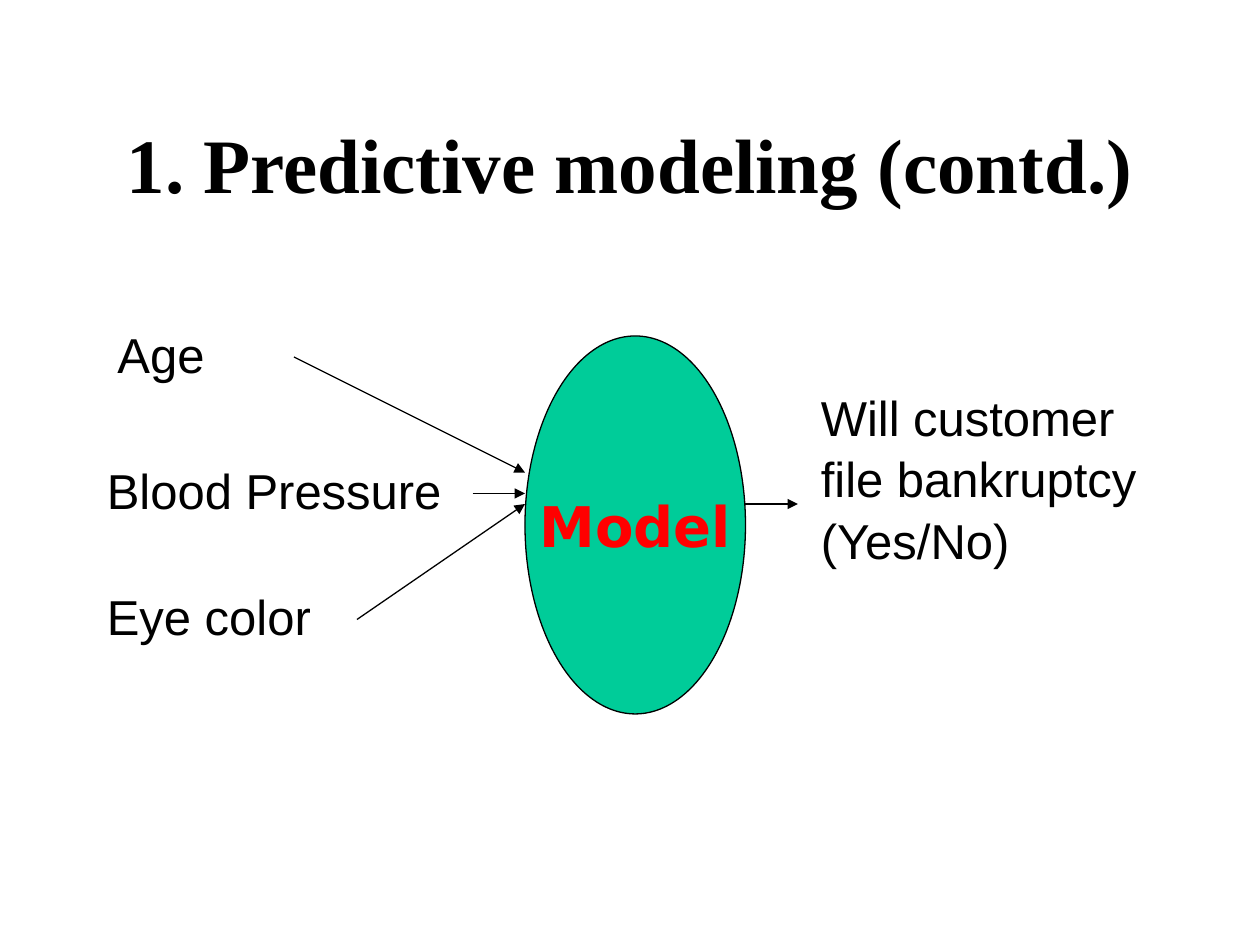
from typing import NamedTuple

from lxml import etree
from pptx import Presentation, util as u
from pptx.dml.color import RGBColor
from pptx.enum import shapes, text
from pptx.oxml import ns

PX = 9525
BLACK, RED, GREEN = "000000", "FF0000", "00CC99"


class Area(NamedTuple):
    left: int
    top: int
    width: int
    height: int


class Style(NamedTuple):
    font: str = "Arial"
    size: int = 28
    color: str = BLACK
    bold: bool = False
    centered: bool = False
    spacing: float = 1.05
    wrap: bool = True


class Label(NamedTuple):
    wording: str
    area: Area
    style: Style = Style()


class Arrow(NamedTuple):
    start: tuple[int, int]
    end: tuple[int, int]


TITLE = Label("1. Predictive modeling (contd.)", Area(72, 64, 816, 120),
              Style("Times New Roman", 44, bold=True, centered=True, spacing=1.0))
MODEL = Label("Model", Area(400, 256, 168, 288),
              Style("DejaVu Sans", 32, RED, True, True, 1.0, False))
LABELS = [
    TITLE,
    Label("Age", Area(80, 240, 128, 55)),
    Label("Blood Pressure", Area(72, 344, 280, 55)),
    Label("Eye color", Area(72, 440, 192, 55)),
    Label("Will customer file bankruptcy (Yes/No)", Area(616, 288, 296, 144)),
]
ARROWS = [
    Arrow((224, 272), (400, 360)),
    Arrow((360, 376), (400, 376)),
    Arrow((272, 472), (400, 384)),
    Arrow((568, 384), (608, 384)),
]


def rgb(color: str) -> RGBColor:
    """Turn a hex string into a colour."""
    return RGBColor.from_string(color)


def scaled(lengths) -> list[int]:
    """Turn px lengths into EMU."""
    return [length * PX for length in lengths]


def write(box, label: Label) -> None:
    """Put a label's wording in a shape and format it."""
    style, frame = label.style, box.text_frame
    frame.text = label.wording
    frame.word_wrap = style.wrap
    frame.vertical_anchor = (text.MSO_ANCHOR.MIDDLE if style.centered
                             else text.MSO_ANCHOR.TOP)
    para = frame.paragraphs[0]
    para.alignment = text.PP_ALIGN.CENTER if style.centered else text.PP_ALIGN.LEFT
    para.line_spacing = style.spacing
    span = para.runs[0]
    span.font.name, span.font.size = style.font, u.Pt(style.size)
    span.font.bold, span.font.color.rgb = style.bold, rgb(style.color)


def outline(shape) -> None:
    """Give a shape or connector the thin black line."""
    shape.line.color.rgb = rgb(BLACK)
    shape.line.width = u.Pt(0.75)


def draw_label(page, label: Label) -> None:
    """Draw a text box."""
    write(page.shapes.add_textbox(*scaled(label.area)), label)


def draw_model(page, label: Label) -> None:
    """Draw the model ellipse."""
    ellipse = page.shapes.add_shape(shapes.MSO_SHAPE.OVAL, *scaled(label.area))
    ellipse.shadow.inherit = False
    ellipse.fill.solid()
    ellipse.fill.fore_color.rgb = rgb(GREEN)
    outline(ellipse)
    write(ellipse, label)


def draw_arrow(page, arrow: Arrow) -> None:
    """Draw a straight line with a triangle at its end."""
    line = page.shapes.add_connector(shapes.MSO_CONNECTOR.STRAIGHT,
                                     *scaled(arrow.start + arrow.end))
    outline(line)
    etree.SubElement(line.line._get_or_add_ln(), ns.qn("a:tailEnd"), type="triangle")
    etree.SubElement(line._element.spPr, ns.qn("a:effectLst"))


def main() -> None:
    """Build and save the slide."""
    deck = Presentation()
    deck.slide_width, deck.slide_height = scaled((960, 720))
    page = deck.slides.add_slide(deck.slide_layouts[6])
    for label in LABELS:
        draw_label(page, label)
    draw_model(page, MODEL)
    for arrow in ARROWS:
        draw_arrow(page, arrow)
    deck.save("out.pptx")


if __name__ == "__main__":
    main()
